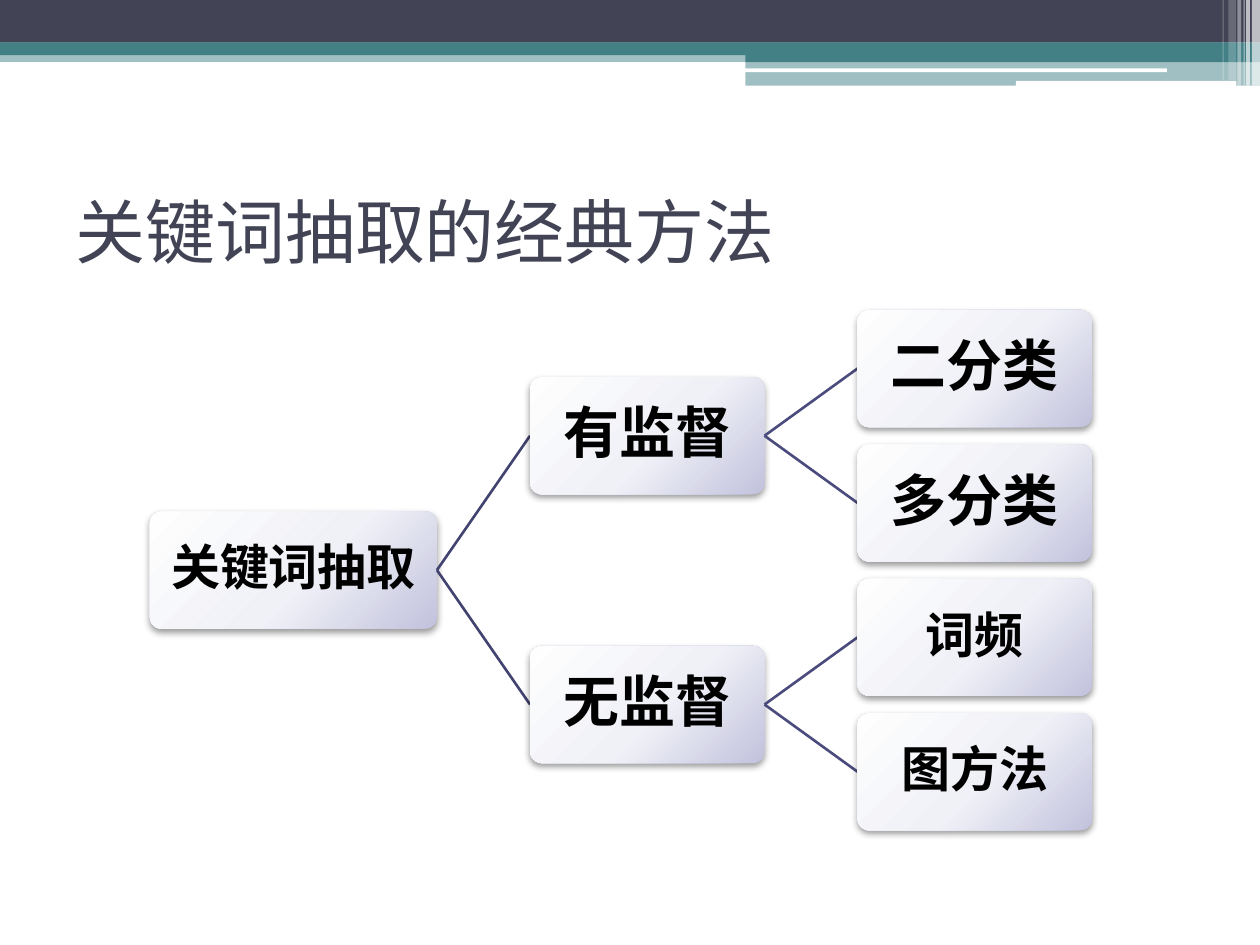
from lxml import etree
from pptx import Presentation
from pptx.dml.color import RGBColor
from pptx.enum.shapes import MSO_CONNECTOR, MSO_SHAPE
from pptx.enum.text import MSO_ANCHOR, PP_ALIGN
from pptx.oxml import parse_xml
from pptx.oxml.ns import qn
from pptx.util import Pt

RECT = MSO_SHAPE.RECTANGLE
ROUND = MSO_SHAPE.ROUNDED_RECTANGLE
STRAIGHT = MSO_CONNECTOR.STRAIGHT
MIDDLE = MSO_ANCHOR.MIDDLE
CENTER = PP_ALIGN.CENTER

NAVY = RGBColor(0x42, 0x44, 0x56)
TEAL = RGBColor(0x43, 0x80, 0x86)
WHITE = RGBColor(0xFF, 0xFF, 0xFF)
BLACK = RGBColor(0x00, 0x00, 0x00)
ROOT_LINE = RGBColor(0x42, 0x43, 0x6F)
LEAF_LINE = RGBColor(0x4B, 0x4C, 0x7D)

NS = 'xmlns:a="http://schemas.openxmlformats.org/drawingml/2006/main"'
GRADIENT = (
    f'<a:gradFill {NS} rotWithShape="1"><a:gsLst>'
    '<a:gs pos="0"><a:srgbClr val="FEFEFE"/></a:gs>'
    '<a:gs pos="55000"><a:srgbClr val="F0F1F7"/></a:gs>'
    '<a:gs pos="100000"><a:srgbClr val="C2C2DD"/></a:gs></a:gsLst>'
    '<a:path path="circle"><a:fillToRect l="-40000" t="-90000" r="140000" b="190000"/>'
    '</a:path></a:gradFill>')
SHADOW = (
    f'<a:outerShdw {NS} blurRad="52000" dist="25400" dir="5400000" rotWithShape="0">'
    '<a:srgbClr val="000000"><a:alpha val="40000"/></a:srgbClr></a:outerShdw>')

prs = Presentation()
prs.slide_width, prs.slide_height = Pt(720), Pt(540)
s = prs.slides.add_slide(prs.slide_layouts[6])

bars = [
    (RECT, 0, 28.8, 720, 6.6, TEAL, 50),
    (RECT, 0, 0, 720, 24.4, NAVY, 100),
    (RECT, 0, 24.3, 720, 7.2, TEAL, 100),
    (RECT, 426, 28.3, 294, 7.2, TEAL, 100),
    (RECT, 426, 35, 294, 14, TEAL, 50),
    (ROUND, 425.6, 39.1, 241.2, 2.2, WHITE, 100),
    (ROUND, 580.5, 46.3, 126, 2.9, WHITE, 100),
    (RECT, 715.4, 0, 4.5, 49, WHITE, 65),
    (RECT, 712.1, 0, 2.2, 49, WHITE, 65),
    (RECT, 710.6, 0, 0.7, 49, WHITE, 60),
    (RECT, 707.1, 0, 2.2, 49, WHITE, 40),
    (RECT, 702, 0, 4.3, 46, WHITE, 20),
    (RECT, 698.6, 0, 0.7, 46, WHITE, 30),
]
for kind, x, y, w, h, color, opacity in bars:
    sp = s.shapes.add_shape(kind, Pt(x), Pt(y), Pt(w), Pt(h))
    sp.shadow.inherit = False
    sp.line.fill.background()
    sp.fill.solid()
    sp.fill.fore_color.rgb = color
    if opacity < 100:
        clr = sp._element.spPr.find(qn("a:solidFill"))[0]
        etree.SubElement(clr, qn("a:alpha")).set("val", str(opacity * 1000))

tb = s.shapes.add_textbox(Pt(36), Pt(90), Pt(648), Pt(84))
tf = tb.text_frame
tf.word_wrap = True
tf.vertical_anchor = MIDDLE
tf.text = "关键词抽取的经典方法"
font = tf.paragraphs[0].runs[0].font
font.name, font.size, font.color.rgb = "Karla", Pt(40), NAVY

TOP, STEP, BOX_H = 177.1, 76.8, 67
COLUMNS = [(85.7, 164), (302.9, 134), (490, 134)]
nodes = [
    ("关键词抽取", 0, 1.5, 28, None),
    ("有监督", 1, 0.5, 32, 1.5),
    ("二分类", 2, 0, 32, 0.5),
    ("多分类", 2, 1, 32, 0.5),
    ("无监督", 1, 2.5, 32, 1.5),
    ("词频", 2, 2, 28, 2.5),
    ("图方法", 2, 3, 28, 2.5),
]
for text, col, row, size, parent_row in nodes:
    x, w = COLUMNS[col]
    y = TOP + row * STEP
    if parent_row is not None:
        px, pw = COLUMNS[col - 1]
        py = TOP + parent_row * STEP
        cn = s.shapes.add_connector(STRAIGHT, Pt(px + pw), Pt(py + BOX_H / 2),
                                    Pt(x), Pt(y + BOX_H / 2))
        cn.line.color.rgb = ROOT_LINE if col == 1 else LEAF_LINE
        cn.line.width = Pt(1.5)
        etree.SubElement(cn._element.spPr, qn("a:effectLst"))

    sp = s.shapes.add_shape(ROUND, Pt(x), Pt(y), Pt(w), Pt(BOX_H))
    sp.adjustments[0] = 0.1
    sp.line.fill.background()
    sp.shadow.inherit = False
    spPr = sp._element.spPr
    spPr.insert(2, parse_xml(GRADIENT))
    spPr.find(qn("a:effectLst")).append(parse_xml(SHADOW))
    tf = sp.text_frame
    tf.margin_left = tf.margin_right = tf.margin_top = tf.margin_bottom = Pt(3.4)
    tf.word_wrap = True
    tf.vertical_anchor = MIDDLE
    tf.text = text
    p = tf.paragraphs[0]
    p.alignment = CENTER
    p.line_spacing = 0.9
    font = p.runs[0].font
    font.name, font.size, font.bold = "Arial", Pt(size), True
    font.color.rgb = BLACK

prs.save("out.pptx")
